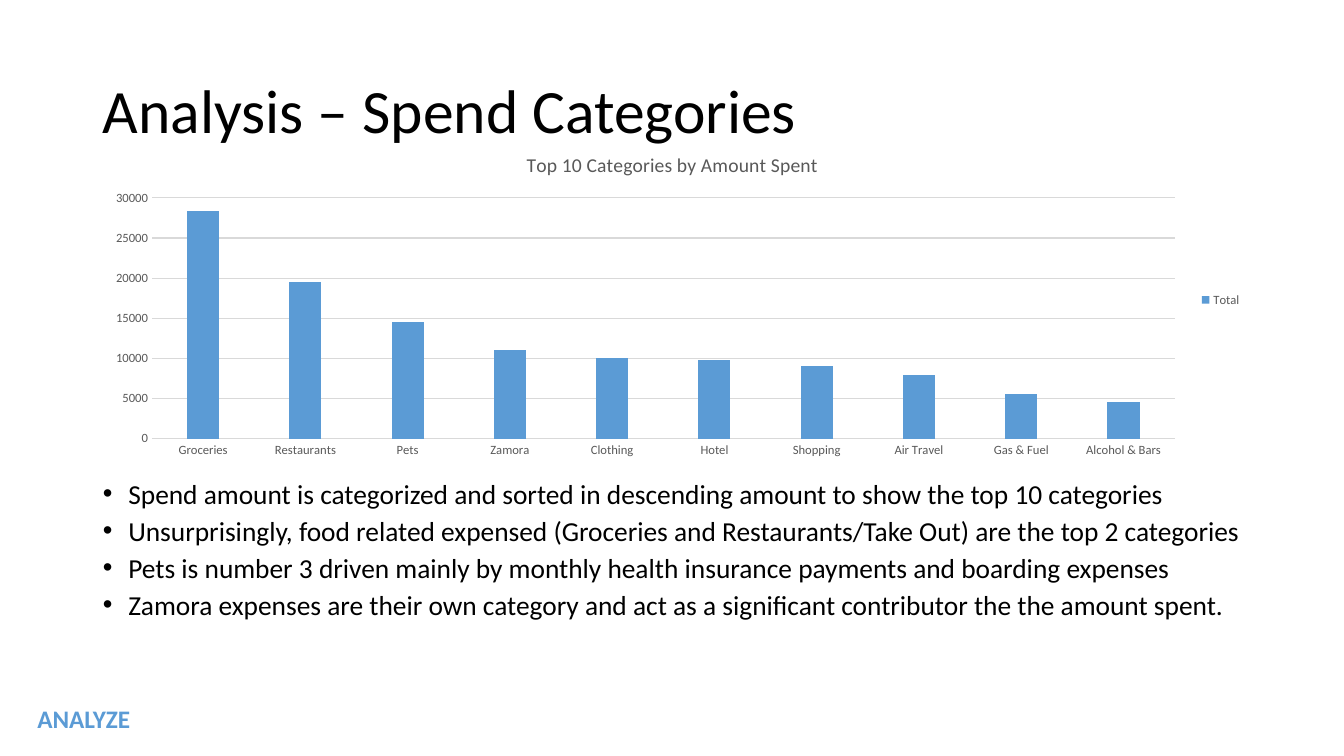
from dataclasses import dataclass

from lxml.etree import SubElement
from pptx import Presentation
from pptx.chart.data import CategoryChartData
from pptx.dml.color import RGBColor
from pptx.enum.chart import XL_CHART_TYPE as ChartType
from pptx.enum.chart import XL_LEGEND_POSITION as LegendPosition
from pptx.enum.chart import XL_TICK_MARK as TickMark
from pptx.enum.text import MSO_ANCHOR as Anchor
from pptx.enum.text import MSO_AUTO_SIZE as AutoSize
from pptx.enum.text import PP_ALIGN as Align
from pptx.oxml.ns import qn
from pptx.util import Cm, Pt

HEADING = "Analysis – Spend Categories"
STAGE = "ANALYZE"
CHART_TITLE = "Top 10 Categories by Amount Spent"
SERIES_NAME = "Total"
SPENDING = {
    "Groceries": 28400,
    "Restaurants": 19500,
    "Pets": 14500,
    "Zamora": 11100,
    "Clothing": 10000,
    "Hotel": 9800,
    "Shopping": 9100,
    "Air Travel": 7900,
    "Gas & Fuel": 5500,
    "Alcohol & Bars": 4600,
}
FINDINGS = [
    "Spend amount is categorized and sorted in descending amount to show the top 10 categories",
    "Unsurprisingly, food related expensed (Groceries and Restaurants/Take Out) are the top 2 categories",
    "Pets is number 3 driven mainly by monthly health insurance payments and boarding expenses",
    "Zamora expenses are their own category and act as a significant contributor the the amount spent.",
]


@dataclass(frozen=True)
class Theme:
    font: str = "Calibri"
    ink: RGBColor = RGBColor(0x00, 0x00, 0x00)
    accent: RGBColor = RGBColor(0x5B, 0x9B, 0xD5)
    label: RGBColor = RGBColor(0x59, 0x59, 0x59)
    rule: RGBColor = RGBColor(0xD9, 0xD9, 0xD9)
    heading_size: float = 44
    finding_size: float = 19.6
    stage_size: float = 18
    chart_title_size: float = 14
    label_size: float = 9
    rule_width: float = 0.75


THEME = Theme()
LEFT, CONTENT_WIDTH = Cm(2.34), Cm(29.21)
HEADING_BOX = (LEFT, Cm(1.02), CONTENT_WIDTH, Cm(3.68))
CHART_BOX = (LEFT, Cm(3.43), CONTENT_WIDTH, Cm(8.26))
FINDINGS_BOX = (LEFT, Cm(12.12), CONTENT_WIDTH, Cm(5.03))
STAGE_BOX = (Cm(0.69), Cm(17.6), Cm(3.66), Cm(1.02))
BULLET_INDENT = Cm(0.64)


def style_font(font, size, color, bold=False):
    font.name, font.size, font.bold = THEME.font, Pt(size), bold
    font.color.rgb = color


def add_run(paragraph, wording, size, color, bold=False):
    run = paragraph.add_run()
    run.text = wording
    style_font(run.font, size, color, bold)


def place(shape, box):
    shape.left, shape.top, shape.width, shape.height = box


def add_bullet(paragraph):
    properties = paragraph._p.get_or_add_pPr()
    properties.set("marL", str(BULLET_INDENT))
    properties.set("indent", str(-BULLET_INDENT))
    SubElement(properties, qn("a:buFont"), typeface="Arial")
    SubElement(properties, qn("a:buChar"), char="•")


def style_rule(line):
    line.color.rgb = THEME.rule
    line.width = Pt(THEME.rule_width)


def add_heading(slide):
    heading = slide.shapes.title
    place(heading, HEADING_BOX)
    heading.text_frame.auto_size = AutoSize.NONE
    heading.text_frame.vertical_anchor = Anchor.MIDDLE
    paragraph = heading.text_frame.paragraphs[0]
    paragraph.alignment, paragraph.line_spacing = Align.LEFT, 0.9
    add_run(paragraph, HEADING, THEME.heading_size, THEME.ink)


def add_findings(slide):
    body = slide.placeholders[1]
    place(body, FINDINGS_BOX)
    frame = body.text_frame
    frame.auto_size = AutoSize.NONE
    for index, finding in enumerate(FINDINGS):
        paragraph = frame.add_paragraph() if index else frame.paragraphs[0]
        paragraph.line_spacing, paragraph.space_before = 0.7, Pt(10)
        add_bullet(paragraph)
        add_run(paragraph, finding, THEME.finding_size, THEME.ink)


def add_stage(slide):
    frame = slide.shapes.add_textbox(*STAGE_BOX).text_frame
    frame.word_wrap = True
    add_run(frame.paragraphs[0], STAGE, THEME.stage_size, THEME.accent, bold=True)


def add_spending_chart(slide):
    spending = CategoryChartData(number_format="General")
    spending.categories = list(SPENDING)
    spending.add_series(SERIES_NAME, list(SPENDING.values()))
    chart = slide.shapes.add_chart(
        ChartType.COLUMN_CLUSTERED, *CHART_BOX, spending
    ).chart
    style_font(chart.font, THEME.label_size, THEME.label)

    add_run(chart.chart_title.text_frame.paragraphs[0], CHART_TITLE,
            THEME.chart_title_size, THEME.label)
    chart.chart_title.include_in_layout = False

    chart.has_legend = True
    chart.legend.position = LegendPosition.RIGHT
    chart.legend.include_in_layout = False
    style_font(chart.legend.font, THEME.label_size, THEME.label)

    for axis in (chart.category_axis, chart.value_axis):
        axis.major_tick_mark = axis.minor_tick_mark = TickMark.NONE
        style_font(axis.tick_labels.font, THEME.label_size, THEME.label)
    style_rule(chart.category_axis.format.line)
    amounts = chart.value_axis
    amounts.minimum_scale, amounts.maximum_scale, amounts.major_unit = 0, 30000, 5000
    amounts.format.line.fill.background()
    style_rule(amounts.major_gridlines.format.line)

    columns = chart.plots[0]
    columns.gap_width, columns.overlap, columns.vary_by_categories = 219, -27, False
    fill = columns.series[0].format.fill
    fill.solid()
    fill.fore_color.rgb = THEME.accent


def main():
    deck = Presentation()
    deck.slide_width, deck.slide_height = Cm(33.87), Cm(19.05)
    slide = deck.slides.add_slide(deck.slide_layouts[1])
    add_heading(slide)
    add_stage(slide)
    add_findings(slide)
    add_spending_chart(slide)
    deck.save("out.pptx")


if __name__ == "__main__":
    main()
